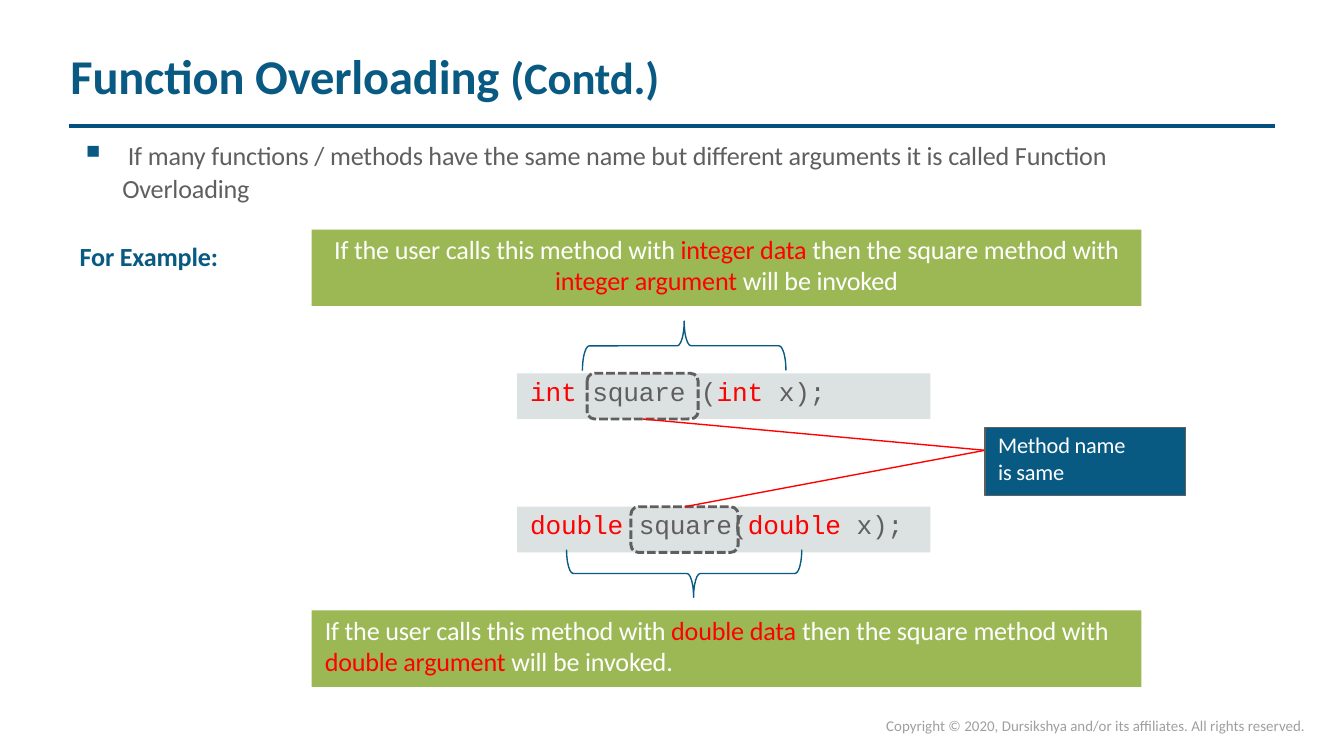
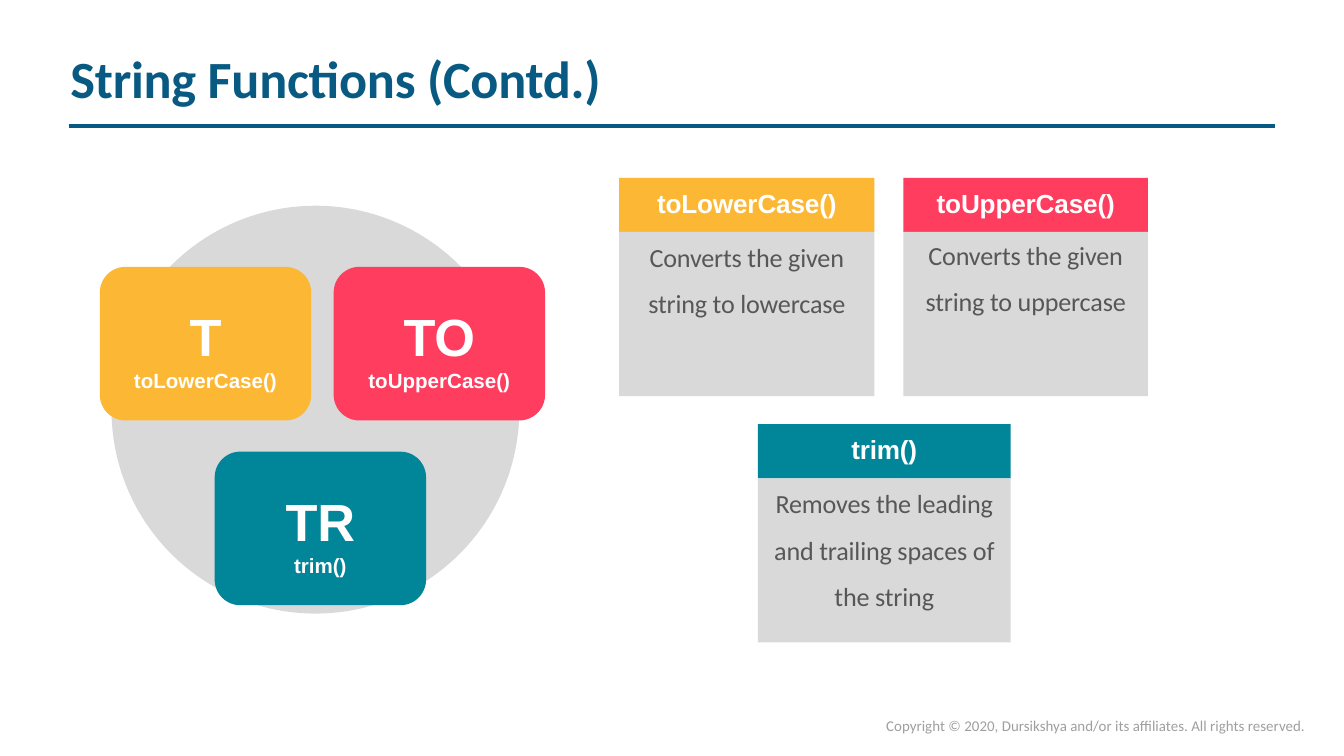
from lxml.etree import SubElement
from pptx import Presentation
from pptx.dml.color import RGBColor
from pptx.enum.dml import MSO_LINE
from pptx.enum.shapes import MSO_CONNECTOR, MSO_SHAPE
from pptx.enum.text import MSO_ANCHOR, PP_ALIGN
from pptx.oxml.ns import qn
from pptx.util import Pt

NAVY, RULE, GREY, RED, WHITE = "095A82", "045180", "5F5F5F", "FF0000", "FFFFFF"
GREEN, CODE_BAR, DISC, CARD_TEXT, FOOT = "9CB854", "DCE1E2", "D9D9D9", "575757", "9F9F9F"

# Text is a list of paragraphs, each a list of (text, format changes) runs
RED_RUN = {"color": RED}
FOOTER = "Copyright © 2020, Dursikshya and/or its affiliates. All rights reserved."
OVERLOAD_TITLE = [("Function Overloading ", {"size": 26}), ("(Contd.)", {"size": 24})]
STRING_TITLE = [("String Functions (Contd.)", {"size": 28})]
DEFINITION = ("If many functions / methods have the same name but different "
              "arguments it is called Function Overloading")
INT_NOTE = [
    [("If the user calls this method with ", {}), ("integer data ", RED_RUN),
     ("then the square method with", {})],
    [("integer argument ", RED_RUN), ("will be invoked", {})],
]
DOUBLE_NOTE = [
    [("If the user calls this method with ", {}), ("double data ", RED_RUN),
     ("then the square method with ", {}), ("double argument ", RED_RUN),
     ("will be invoked.", {})],
]
NOTES = [(123, INT_NOTE, PP_ALIGN.CENTER, 0), (327, DOUBLE_NOTE, PP_ALIGN.LEFT, 7)]

# type, call, bar top, name frame (left, width), side the link leaves from
SIGNATURES = [
    ("int ", "square (", 200, (314.5, 59.5), 2),
    ("double ", "square(", 271.5, (338, 57.5), 0),
]
# shape, left, top, right, bottom, tip position measured from the right
BRACES = [
    (MSO_SHAPE.LEFT_BRACE, 312, 172, 421, 198.5, 0.5),
    (MSO_SHAPE.RIGHT_BRACE, 303.5, 294.5, 429.5, 320, 0.46),
]
# initials, function, colour, description, badge corner, card corner, card width
FUNCTIONS = [
    ("T", "toLowerCase()", "FCB834", ["Converts the given", "string to lowercase"],
     (53.5, 143), (331.75, 95.25), 136.75, 5),
    ("TO", "toUpperCase()", "FF3D5F", ["Converts the given", "string to uppercase"],
     (178.75, 143), (484, 95.25), 131, 4),
    ("TR", "trim()", "008599",
     ["Removes the leading", "and trailing spaces of", "the string"],
     (115, 242), (406, 227.25), 135.5, 5),
]


def rgb(value):
    return RGBColor.from_string(value)


def plain(text):
    return [[(text, {})]]


def write(shape, paras, inset=(0, 1, 0, 0), align=PP_ALIGN.LEFT, gap=0, **base):
    """Fill a shape with paragraphs; base holds the formats runs start from."""
    tf = shape.text_frame
    tf.word_wrap = True
    tf.vertical_anchor = MSO_ANCHOR.TOP
    for side, value in zip(("left", "top", "right", "bottom"), inset):
        setattr(tf, f"margin_{side}", Pt(value))
    for i, runs in enumerate(paras):
        p = tf.add_paragraph() if i else tf.paragraphs[0]
        p.alignment = align
        if i and gap:
            p.space_before = Pt(gap)
        for text, changes in runs:
            fmt = {"font": "Calibri", "size": 14, "color": GREY, "bold": False,
                   "spacing": -0.1, **base, **changes}
            r = p.add_run()
            r.text = text
            values = {"name": fmt["font"], "size": Pt(fmt["size"]), "bold": fmt["bold"]}
            for name, value in values.items():
                setattr(r.font, name, value)
            r.font.color.rgb = rgb(fmt["color"])
            r._r.get_or_add_rPr().set("spc", str(round(fmt["spacing"] * 100)))
    return tf


def textbox(s, box, paras, **kw):
    return write(s.shapes.add_textbox(*map(Pt, box)), paras, **kw)


def shape(s, kind, box, fill=None, line=None, width=0.75):
    sp = s.shapes.add_shape(kind, *map(Pt, box))
    sp.shadow.inherit = False
    if fill:
        sp.fill.solid()
        sp.fill.fore_color.rgb = rgb(fill)
    else:
        sp.fill.background()
    if line:
        sp.line.color.rgb = rgb(line)
        sp.line.width = Pt(width)
    else:
        sp.line.fill.background()
    return sp


def straight(s, start, end, color, width):
    c = s.shapes.add_connector(MSO_CONNECTOR.STRAIGHT, *map(Pt, (*start, *end)))
    c.line.color.rgb = rgb(color)
    c.line.width = Pt(width)
    SubElement(c._element.spPr, qn("a:effectLst"))
    return c


def new_slide(prs, title, title_width, rule_color):
    s = prs.slides.add_slide(prs.slide_layouts[6])
    straight(s, (36.75, 67.5), (683.25, 67.5), rule_color, 2.28)
    textbox(s, (36.75, 23.75, title_width, 35), [title], inset=(1, 1, 0, 0),
            color=NAVY, bold=True)
    tf = textbox(s, (473.75, 385, 231, 10), plain(FOOTER), inset=(1, 0, 0, 0),
                 size=8, color=FOOT, spacing=0)
    tf.paragraphs[0].line_spacing = Pt(8.7)
    return s


def definition(s):
    tf = textbox(s, (41.75, 72.75, 558, 37.5), plain("\t" + DEFINITION))
    p = tf.paragraphs[0]
    p.line_spacing = 1.06
    pPr = p._p.get_or_add_pPr()
    pPr.set("marL", str(Pt(23.75)))
    pPr.set("indent", str(Pt(-22.25)))
    color = SubElement(pPr, qn("a:buClr"))
    SubElement(color, qn("a:srgbClr"), val=NAVY)
    SubElement(pPr, qn("a:buSzPct"), val="129000")
    SubElement(pPr, qn("a:buChar"), char="▪")
    tabs = SubElement(pPr, qn("a:tabLst"))
    SubElement(tabs, qn("a:tab"), pos=str(Pt(26.75)), algn="l")


def brace(s, kind, left, top, right, bottom, tip):
    """Draw a brace lying on its side: the preset turned a quarter."""
    w, h = right - left, bottom - top
    box = ((left + right - h) / 2, (top + bottom - w) / 2, h, w)
    sp = shape(s, kind, box, line=NAVY)
    sp.rotation = 90
    sp.adjustments[0] = 0.14
    sp.adjustments[1] = tip


def overloading_slide(prs):
    s = new_slide(prs, OVERLOAD_TITLE, 320, RULE)
    definition(s)
    textbox(s, (41.75, 128, 77, 19), plain("For Example:"), inset=(1, 1, 0, 0),
            color=NAVY, bold=True)
    for kind_name, call, top, (left, width), side in SIGNATURES:
        bar = shape(s, MSO_SHAPE.RECTANGLE, (277, top, 221.5, 24.5), CODE_BAR)
        code = [(kind_name, RED_RUN), (call, {}), (kind_name, RED_RUN), ("x);", {})]
        write(bar, [code], inset=(7, 1, 0, 0), font="Courier New")
        frame = shape(s, MSO_SHAPE.ROUNDED_RECTANGLE, (left, top, width, 24.5),
                      line=GREY, width=1.56)
        frame.line.dash_style = MSO_LINE.SQUARE_DOT
        start = (left + width / 2, top + (24.5 if side == 2 else 0))
        link = straight(s, start, (527.75, 241.25), RED, 0.75)
        link.begin_connect(frame, side)
    callout = shape(s, MSO_SHAPE.RECTANGLE, (527.75, 229, 107.5, 36.5), NAVY, GREY)
    write(callout, plain("Method name is same"), inset=(7, 2, 26, 0), size=12, color=WHITE)
    for b in BRACES:
        brace(s, *b)
    for top, note, align, indent in NOTES:
        box = shape(s, MSO_SHAPE.RECTANGLE, (167, top, 444.5, 41), GREEN)
        write(box, note, inset=(indent, 2, 0, 0), align=align, color=WHITE)


def string_slide(prs):
    s = new_slide(prs, STRING_TITLE, 289, NAVY)
    shape(s, MSO_SHAPE.OVAL, (59.75, 110.25, 218.5, 218.5), DISC)
    label = {"align": PP_ALIGN.CENTER, "font": "Arial", "color": WHITE, "bold": True}
    for initials, name, color, lines, badge_at, (left, top), width, body_inset in FUNCTIONS:
        badge = shape(s, MSO_SHAPE.ROUNDED_RECTANGLE, (*badge_at, 113.25, 82.25), color)
        write(badge, [[(initials, {"size": 28})], [(name, {"size": 11, "spacing": 0})]],
              inset=(0, 16, 0, 0), gap=0.5, **label)
        head = shape(s, MSO_SHAPE.RECTANGLE, (left, top, width, 29), color)
        write(head, plain(name), inset=(0, 5, 0, 0), **label)
        body = shape(s, MSO_SHAPE.RECTANGLE, (left, top + 29, width, 88), DISC)
        write(body, [[(line, {})] for line in lines], inset=(0, body_inset, 0, 0),
              align=PP_ALIGN.CENTER, gap=8, color=CARD_TEXT)


def main():
    prs = Presentation()
    prs.slide_width, prs.slide_height = Pt(720), Pt(405)
    overloading_slide(prs)
    string_slide(prs)
    prs.save("out.pptx")


if __name__ == "__main__":
    main()
